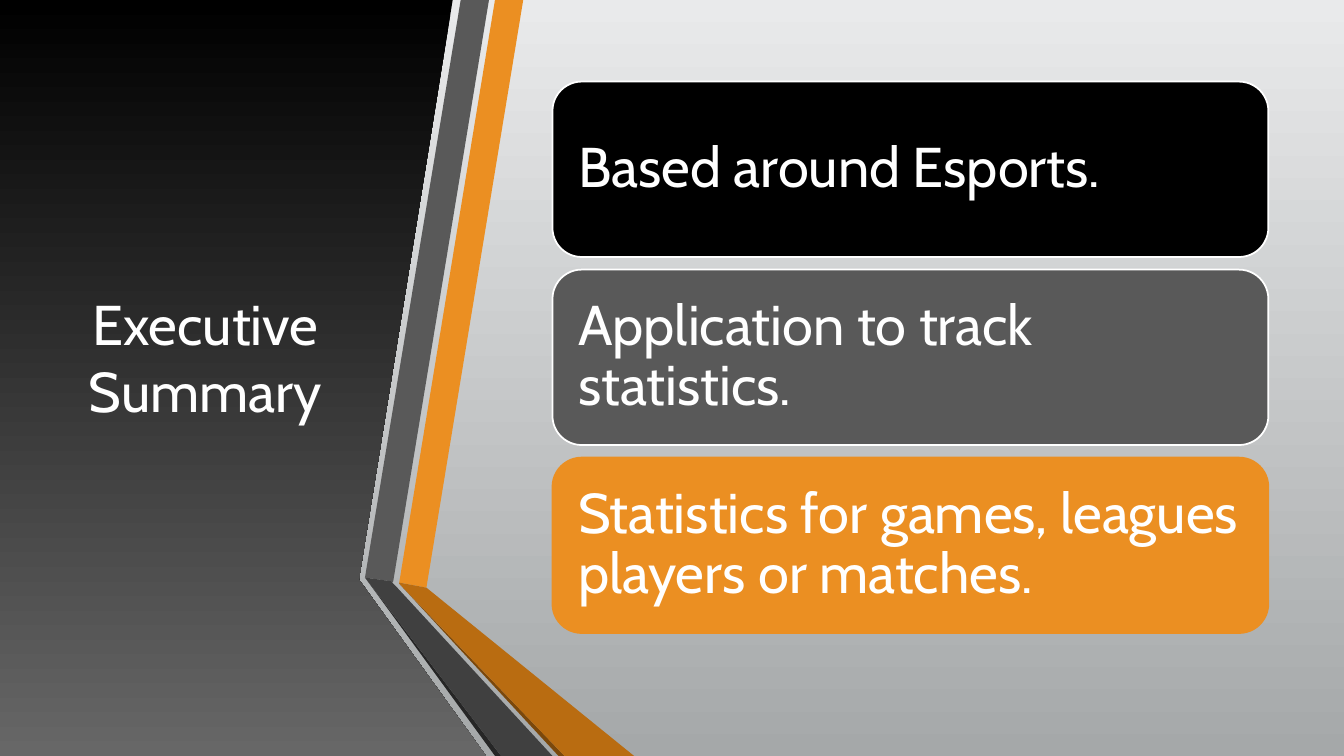
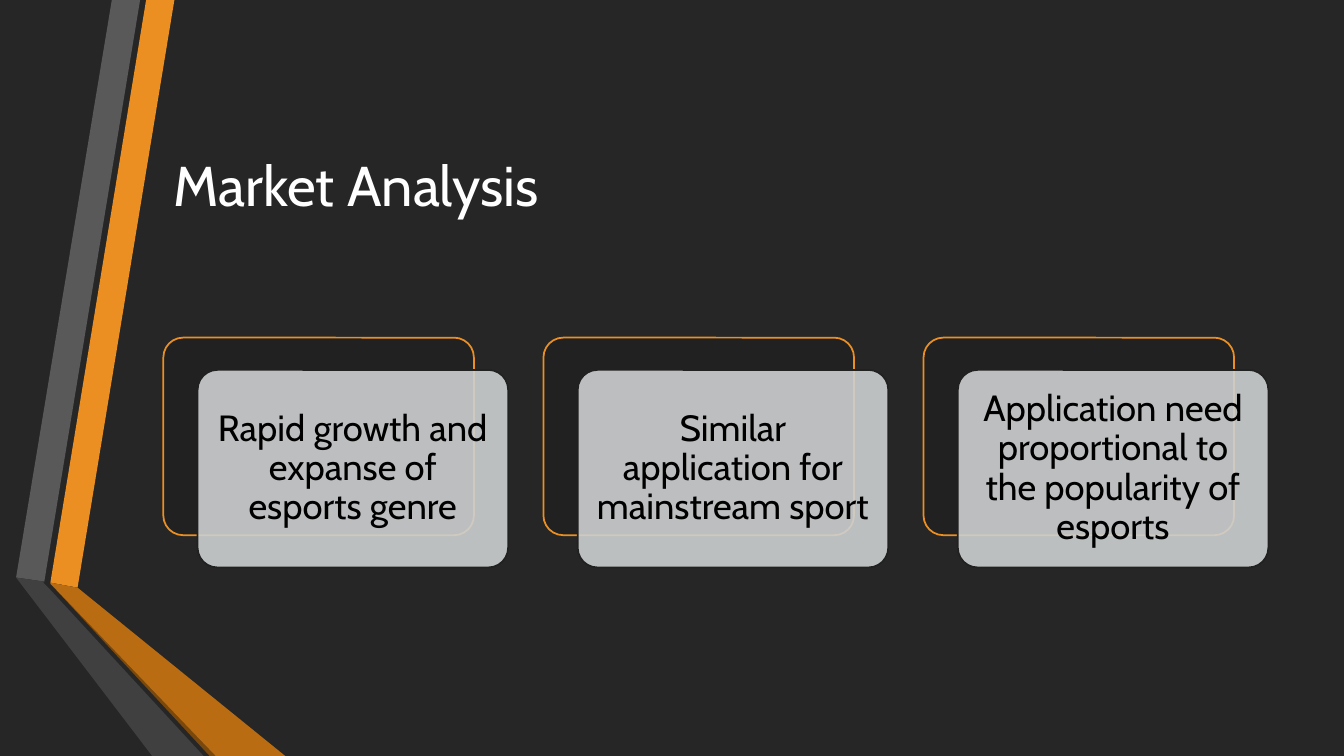
"""Build two slides, an executive summary and a market analysis, with a shared folded ribbon."""
from lxml.etree import SubElement
from pptx import Presentation
from pptx.dml.color import RGBColor
from pptx.enum.shapes import MSO_SHAPE
from pptx.enum.text import MSO_ANCHOR, MSO_AUTO_SIZE, PP_ALIGN
from pptx.oxml.ns import qn
from pptx.util import Inches, Pt

FONT = "Cabin"
WHITE, BLACK = "FFFFFF", "000000"
ORANGE, GREY = "EB8F22", "595959"
DARK, DARK_CARD, LIGHT_CARD = "262626", "212121", "CDD0D1"
LIGHT_GRADIENT = ("E9EAEB", "A5A8A9")
PANEL_GRADIENT = (BLACK, "676767")
WIDTH, HEIGHT = 13.33, 7.5

RIBBON = [
    (ORANGE, [(0.5, 5.78), (0.77, 5.83), (1.73, 0), (1.45, 0)]),
    (GREY, [(1.39, 0), (1.11, 0), (0.16, 5.73), (0.44, 5.77)]),
    (DARK, [(0.16, 5.73), (1.45, HEIGHT), (1.51, HEIGHT)]),
    ("7B480B", [(0.5, 5.79), (2.08, HEIGHT), (2.14, HEIGHT)]),
    ("B96C11", [(0.5, 5.79), (2.14, HEIGHT), (2.83, HEIGHT), (0.77, 5.83), (0.5, 5.78)]),
    ("404040", [(2.02, HEIGHT), (0.48, 5.83), (0.43, 5.78), (0.44, 5.77), (0.16, 5.73),
                (1.51, HEIGHT)]),
]
PANEL = [(0, 0), (4.49, 0), (3.56, 5.75), (4.82, HEIGHT), (0, HEIGHT)]

SUMMARY_TITLE = "Executive Summary"
SUMMARY = [
    ("Based around Esports.", BLACK, WHITE),
    ("Application to track statistics.", GREY, WHITE),
    ("Statistics for games, leagues players or matches.", ORANGE, ORANGE),
]
MARKET_TITLE = "Market Analysis"
MARKET = [
    "Rapid growth and expanse of esports genre",
    "Similar application for mainstream sport",
    "Application need proportional to the popularity of esports",
]


def color(value):
    return RGBColor.from_string(value)


def paint(fill, value):
    """Fill with one colour, or with a (top, bottom) gradient."""
    if isinstance(value, str):
        fill.solid()
        fill.fore_color.rgb = color(value)
        return
    fill.gradient()
    fill.gradient_angle = 270
    for stop, shade in zip(fill.gradient_stops, value):
        stop.color.rgb = color(shade)


def write(shape, text, size, shade, align, spacing=1.0, inset=0.1):
    frame = shape.text_frame
    frame.word_wrap = True
    frame.auto_size = MSO_AUTO_SIZE.NONE
    frame.vertical_anchor = MSO_ANCHOR.MIDDLE
    frame.margin_left = frame.margin_right = Inches(inset)
    frame.margin_top = frame.margin_bottom = Inches(min(inset, 0.11))
    para = frame.paragraphs[0]
    para.alignment = align
    para.line_spacing = spacing
    span = para.add_run()
    span.text = text
    span.font.name = FONT
    span.font.size = Pt(size)
    span.font.color.rgb = color(shade)


def add_outline(page, points, fill, shift=0):
    (left, top), *rest = [(Inches(x + shift), Inches(y)) for x, y in points]
    builder = page.shapes.build_freeform(left, top)
    builder.add_line_segments(rest, close=True)
    shape = builder.convert_to_shape()
    shape.shadow.inherit = False
    paint(shape.fill, fill)
    shape.line.fill.background()


def add_ribbon(page, shift=0):
    for fill, points in RIBBON:
        add_outline(page, points, fill, shift)


def add_card(page, place, fill, line, corner=None, opacity=None):
    card = page.shapes.add_shape(MSO_SHAPE.ROUNDED_RECTANGLE, *map(Inches, place))
    card.shadow.inherit = False
    paint(card.fill, fill)
    card.line.color.rgb = color(line)
    card.line.width = Pt(1.25)
    if corner is not None:
        card.adjustments[0] = corner
    if opacity is not None:
        tint = card.fill._xPr.find(qn("a:solidFill"))[0]
        SubElement(tint, qn("a:alpha"), val=str(opacity * 1000))
    return card


def add_title(page, text, place, align):
    title = page.shapes.title
    title.left, title.top, title.width, title.height = map(Inches, place)
    write(title, text, 40, WHITE, align)
    page.shapes._spTree.append(title._element)


def add_page(deck, background):
    page = deck.slides.add_slide(deck.slide_layouts.get_by_name("Title Only"))
    paint(page.background.fill, background)
    return page


def build_summary(deck):
    page = add_page(deck, LIGHT_GRADIENT)
    add_outline(page, PANEL, PANEL_GRADIENT)
    add_title(page, SUMMARY_TITLE, (0.59, 0.75, 2.89, 5.58), PP_ALIGN.CENTER)
    add_ribbon(page, 3.46)
    first, last = 0.81, 4.54
    step = (last - first) / (len(SUMMARY) - 1)
    for index, (text, fill, line) in enumerate(SUMMARY):
        card = add_card(page, (5.48, first + index * step, 7.1, 1.74), fill, line)
        write(card, text, 40, WHITE, PP_ALIGN.LEFT, 0.9, 0.17)


def build_market(deck):
    page = add_page(deck, DARK)
    add_ribbon(page)
    add_title(page, MARKET_TITLE, (1.62, 0.87, 10.96, 1.92), PP_ALIGN.LEFT)
    width, height = 3.08, 1.96
    for index, text in enumerate(MARKET):
        left, top = 1.62 + index * 3.77, 3.35
        add_card(page, (left, top, width, height), DARK_CARD, ORANGE, 0.1)
        front = add_card(page, (left + 0.34, top + 0.32, width, height),
                         LIGHT_CARD, DARK_CARD, 0.1, 90)
        write(front, text, 26, BLACK, PP_ALIGN.CENTER, 0.9, 0.11)


def main():
    deck = Presentation()
    deck.slide_width, deck.slide_height = Inches(WIDTH), Inches(HEIGHT)
    build_summary(deck)
    build_market(deck)
    deck.save("out.pptx")


if __name__ == "__main__":
    main()
